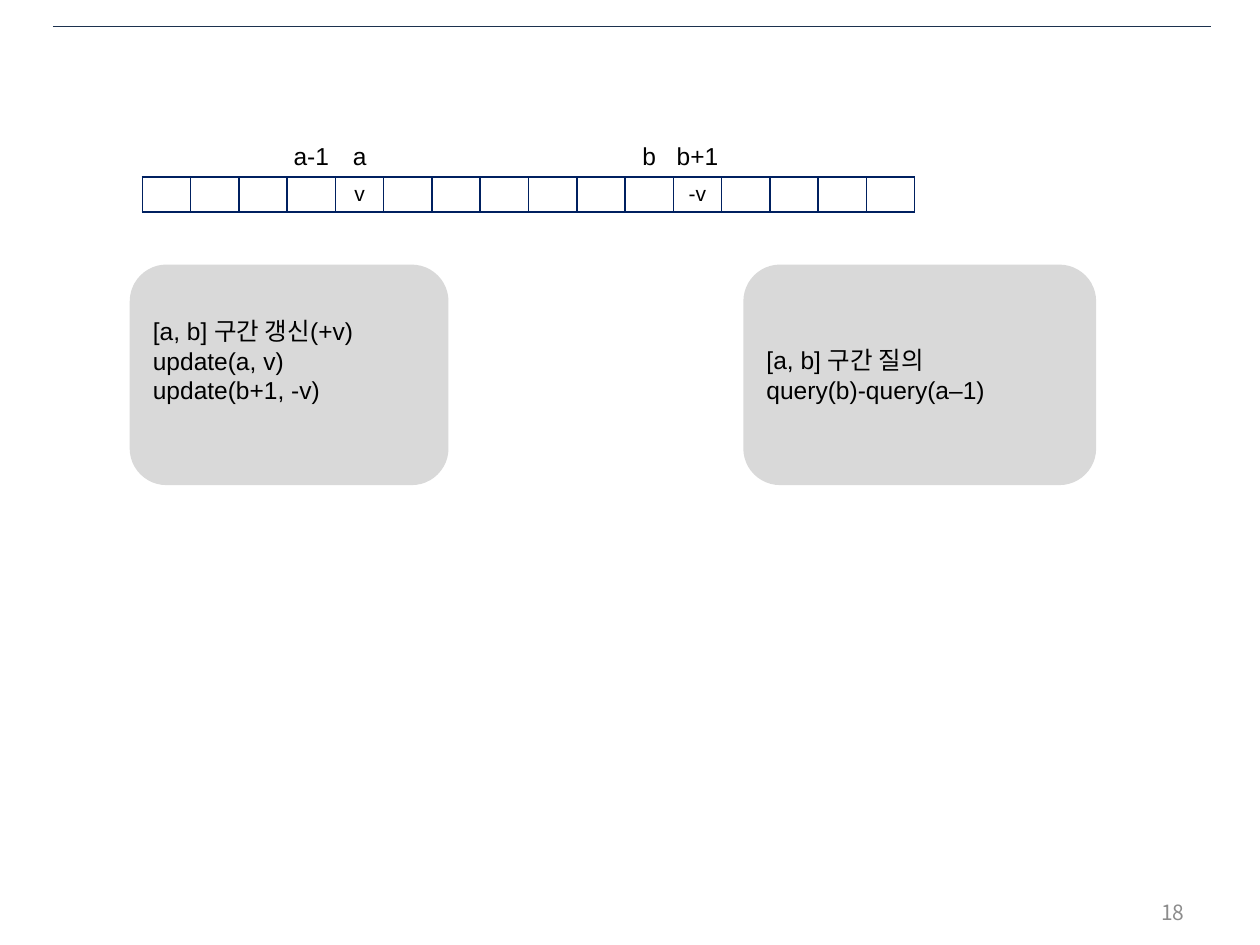
from lxml.etree import SubElement
from pptx import Presentation
from pptx.dml.color import RGBColor
from pptx.enum.shapes import MSO_CONNECTOR, MSO_SHAPE
from pptx.enum.text import MSO_ANCHOR, PP_ALIGN
from pptx.oxml.ns import qn
from pptx.util import Inches, Pt

NAVY = RGBColor(0x00, 0x20, 0x60)
RULE_BLUE = RGBColor(0x1C, 0x31, 0x4E)
PANEL_GRAY = RGBColor(0xD9, 0xD9, 0xD9)
NUMBER_GRAY = RGBColor(0x8C, 0x8C, 0x8C)
BLACK = RGBColor(0, 0, 0)
LATIN_FONT = "Arial"
KOREAN_FONT = "Noto Sans CJK KR"

CELL_COUNT = 16
INDEX_LABELS = {3: "a-1", 4: "a", 10: "b", 11: "b+1"}
VALUES = {4: "v", 11: "-v"}


def add_run(paragraph, text, size, color=BLACK, font=LATIN_FONT):
    run = paragraph.add_run()
    run.text = text
    run.font.size = Pt(size)
    run.font.name = font
    run.font.color.rgb = color
    SubElement(run.font._element, qn("a:ea"), typeface=KOREAN_FONT)


def add_header_rule(slide, left, top, width):
    rule = slide.shapes.add_connector(
        MSO_CONNECTOR.STRAIGHT, left, top, left + width, top)
    rule.line.color.rgb = RULE_BLUE
    rule.line.width = Pt(0.25)
    SubElement(rule._element.spPr, qn("a:effectLst"))


def set_borders(cell, visible_sides):
    properties = cell._tc.get_or_add_tcPr()
    for side in "LRTB":
        line = SubElement(properties, qn(f"a:ln{side}"), w=str(Pt(1)))
        if side in visible_sides:
            fill = SubElement(line, qn("a:solidFill"))
            SubElement(fill, qn("a:srgbClr"), val=str(NAVY))
        else:
            SubElement(line, qn("a:noFill"))


def fill_cell(cell, text, size, visible_sides):
    set_borders(cell, visible_sides)
    cell.fill.background()
    cell.margin_left = cell.margin_right = 0
    cell.margin_top = cell.margin_bottom = Inches(0.04)
    cell.vertical_anchor = MSO_ANCHOR.MIDDLE
    paragraph = cell.text_frame.paragraphs[0]
    paragraph.alignment = PP_ALIGN.CENTER
    if text:
        add_run(paragraph, text, size)
    else:
        # Keeps an empty cell from stretching its row
        SubElement(paragraph._p, qn("a:endParaRPr"), sz=str(size * 100))


def add_array_table(slide, left, top, width, height):
    """Draw the array as a row of index labels over a row of bordered values."""
    table = slide.shapes.add_table(
        2, CELL_COUNT, left, top, width, height).table
    table.first_row = table.horz_banding = False
    table.rows[0].height = Inches(0.29)
    table.rows[1].height = height - Inches(0.29)
    for index in range(CELL_COUNT):
        table.columns[index].width = width // CELL_COUNT
        fill_cell(table.cell(0, index), INDEX_LABELS.get(index), 14, "B")
        fill_cell(table.cell(1, index), VALUES.get(index), 12, "LRTB")


def add_operation_panel(slide, left, top, width, height, lines,
                        bottom_margin=Inches(0.05)):
    panel = slide.shapes.add_shape(
        MSO_SHAPE.ROUNDED_RECTANGLE, left, top, width, height)
    panel.shadow.inherit = False
    panel.fill.solid()
    panel.fill.fore_color.rgb = PANEL_GRAY
    panel.line.fill.background()
    frame = panel.text_frame
    frame.word_wrap = True
    frame.vertical_anchor = MSO_ANCHOR.MIDDLE
    frame.margin_bottom = bottom_margin
    for index, text in enumerate(lines):
        paragraph = frame.add_paragraph() if index else frame.paragraphs[0]
        paragraph.alignment = PP_ALIGN.LEFT
        add_run(paragraph, text, 14)


def add_page_number(slide, left, top, width, height):
    frame = slide.shapes.add_textbox(left, top, width, height).text_frame
    frame.word_wrap = True
    frame.vertical_anchor = MSO_ANCHOR.MIDDLE
    paragraph = frame.paragraphs[0]
    paragraph.alignment = PP_ALIGN.RIGHT
    add_run(paragraph, "18", 12, NUMBER_GRAY, KOREAN_FONT)


def main():
    presentation = Presentation()
    presentation.slide_width = Inches(10)
    presentation.slide_height = Inches(7.5)
    slide = presentation.slides.add_slide(presentation.slide_layouts[6])

    add_header_rule(slide, Inches(0.42), Inches(0.21), Inches(9.19))
    add_page_number(slide, Inches(7.17), Inches(7.04), Inches(2.33), Inches(0.4))
    add_array_table(slide, Inches(1.13), Inches(1.09), Inches(6.13), Inches(0.56))

    panel_top, panel_height = Inches(2.1), Inches(1.75)
    add_operation_panel(
        slide, Inches(1.03), panel_top, Inches(2.53), panel_height,
        ["[a, b] 구간 갱신(+v)", "update(a, v)", "update(b+1, -v)"],
        bottom_margin=Inches(0.28))
    add_operation_panel(
        slide, Inches(5.9), panel_top, Inches(2.8), panel_height,
        ["[a, b] 구간 질의", "query(b)-query(a–1)"])

    presentation.save("out.pptx")


if __name__ == "__main__":
    main()
